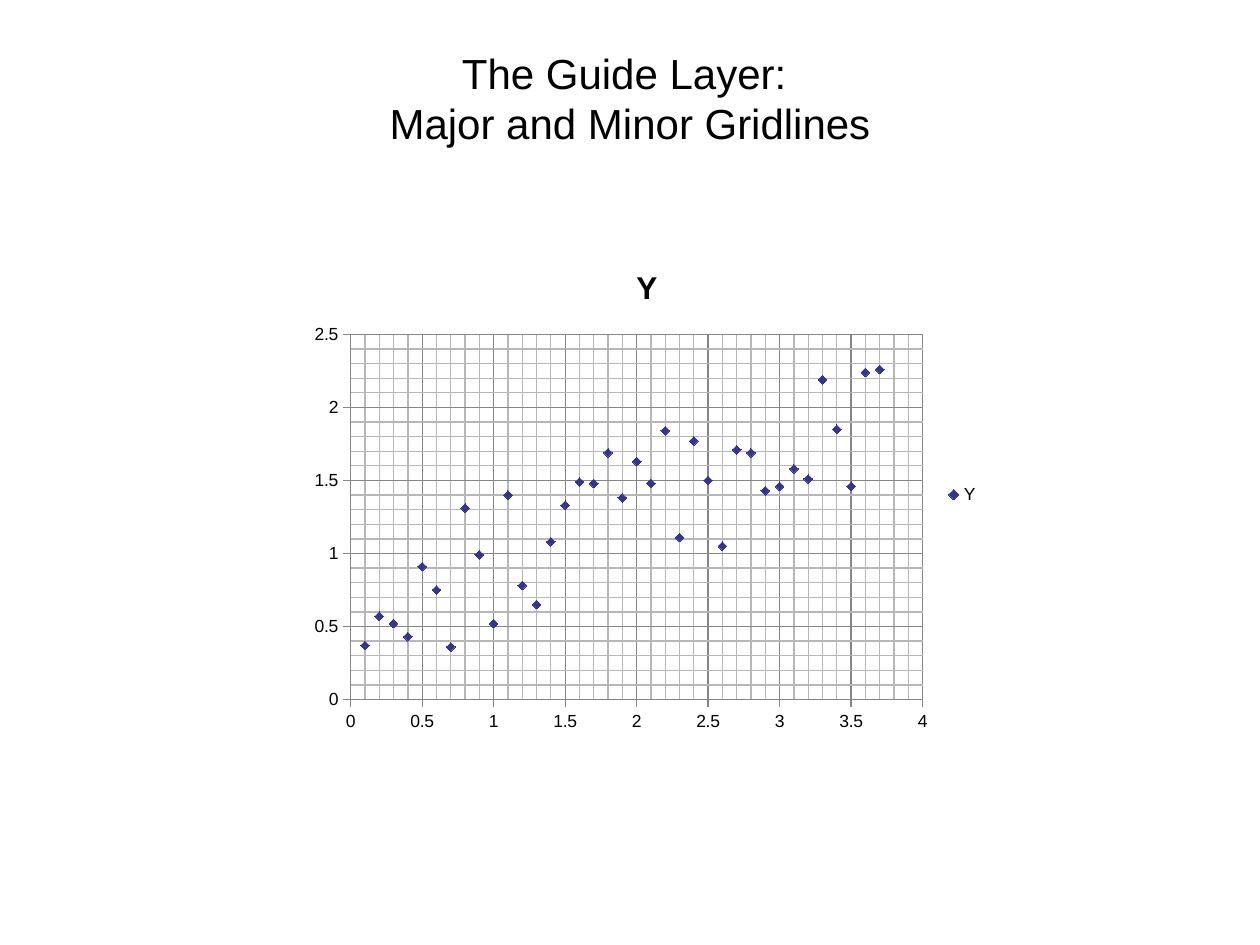
from copy import deepcopy

from lxml.etree import SubElement
from pptx import Presentation
from pptx.chart.data import XyChartData
from pptx.dml.color import RGBColor
from pptx.enum.chart import (XL_CHART_TYPE, XL_LEGEND_POSITION, XL_MARKER_STYLE,
                             XL_TICK_MARK)
from pptx.enum.text import MSO_ANCHOR, PP_ALIGN
from pptx.oxml.ns import qn
from pptx.util import Inches, Pt

COLORS = {"text": "000000", "marker": "333399", "major": "868686", "minor": "B7B7B7"}
RGB = {name: RGBColor.from_string(value) for name, value in COLORS.items()}
FONT = "Arial"
Y_VALUES = [
    0.37, 0.57, 0.52, 0.43, 0.91, 0.75, 0.36, 1.31, 0.99, 0.52,
    1.4, 0.78, 0.65, 1.08, 1.33, 1.49, 1.48, 1.69, 1.38, 1.63,
    1.48, 1.84, 1.11, 1.77, 1.5, 1.05, 1.71, 1.69, 1.43, 1.46,
    1.58, 1.51, 2.19, 1.85, 1.46, 2.24, 2.26,
]
PLOT_LAYOUT = {"layoutTarget": "inner", "xMode": "edge", "yMode": "edge",
               "x": 0.07, "y": 0.18, "w": 0.83, "h": 0.73}


def set_font(font, size, bold=False):
    for name, value in {"name": FONT, "size": Pt(size), "bold": bold}.items():
        setattr(font, name, value)
    font.color.rgb = RGB["text"]


def set_line(line, color):
    line.color.rgb = RGB[color]
    line.width = Pt(0.75)


deck = Presentation()
deck.slide_width, deck.slide_height = Inches(10), Inches(7.5)
page = deck.slides.add_slide(deck.slide_layouts[6])

# Heading
box = page.shapes.add_textbox(Inches(0.5), Inches(0.3), Inches(9), Inches(1.25))
frame = box.text_frame
for name, value in {"word_wrap": True, "vertical_anchor": MSO_ANCHOR.TOP,
                    "margin_top": Inches(0.08)}.items():
    setattr(frame, name, value)
para = frame.paragraphs[0]
para.text = "The Guide Layer: \vMajor and Minor Gridlines"
para.alignment = PP_ALIGN.CENTER
para.line_spacing = Pt(28.5)
for span in para.runs:
    set_font(span.font, 24)

# Scatter chart
data = XyChartData()
points = data.add_series("Y")
for step, y_value in enumerate(Y_VALUES, start=1):
    points.add_data_point(step / 10, y_value)
chart = page.shapes.add_chart(
    XL_CHART_TYPE.XY_SCATTER, Inches(2.4), Inches(1.94), Inches(5.47), Inches(3.97),
    data).chart
set_font(chart.font, 10)
chart.has_title = True
chart.chart_title.include_in_layout = False
title = chart.chart_title.text_frame
title.text = "Y"
set_font(title.paragraphs[0].runs[0].font, 18, bold=True)
chart.has_legend = True
chart.legend.position = XL_LEGEND_POSITION.RIGHT
chart.legend.include_in_layout = False
set_font(chart.legend.font, 10)

series = chart.plots[0].series[0]
series.format.line.fill.background()
marker = series.marker
marker.style, marker.size = XL_MARKER_STYLE.DIAMOND, 5
marker.format.fill.solid()
marker.format.fill.fore_color.rgb = RGB["marker"]
marker.format.line.color.rgb = RGB["marker"]

# Axes with a major gridline every 0.5 and a minor one every 0.1
for axis, maximum in ((chart.category_axis, 4), (chart.value_axis, 2.5)):
    for name, value in {
        "minimum_scale": 0, "maximum_scale": maximum,
        "major_unit": 0.5, "minor_unit": 0.1,
        "has_major_gridlines": True, "has_minor_gridlines": True,
        "major_tick_mark": XL_TICK_MARK.OUTSIDE,
        "minor_tick_mark": XL_TICK_MARK.NONE,
    }.items():
        setattr(axis, name, value)
    set_line(axis.major_gridlines.format.line, "major")
    set_line(axis.format.line, "major")
    axis.tick_labels.number_format = "General"
    axis.tick_labels.number_format_is_linked = False
    set_font(axis.tick_labels.font, 10)

# Minor gridlines take the major line format in a lighter colour
for major in chart.element.iter(qn("c:majorGridlines")):
    minor = major.getparent().find(qn("c:minorGridlines"))
    minor.append(deepcopy(major.find(qn("c:spPr"))))
    minor.find(".//" + qn("a:srgbClr")).set("val", COLORS["minor"])

# Fixed place of the plot area inside the chart
plot_area = chart.element.find(".//" + qn("c:plotArea"))
layout = plot_area.find(qn("c:layout"))
if layout is None:
    layout = SubElement(plot_area, qn("c:layout"))
    plot_area.insert(0, layout)
manual = SubElement(layout, qn("c:manualLayout"))
for name, value in PLOT_LAYOUT.items():
    SubElement(manual, qn("c:" + name)).set("val", str(value))

deck.save("out.pptx")
